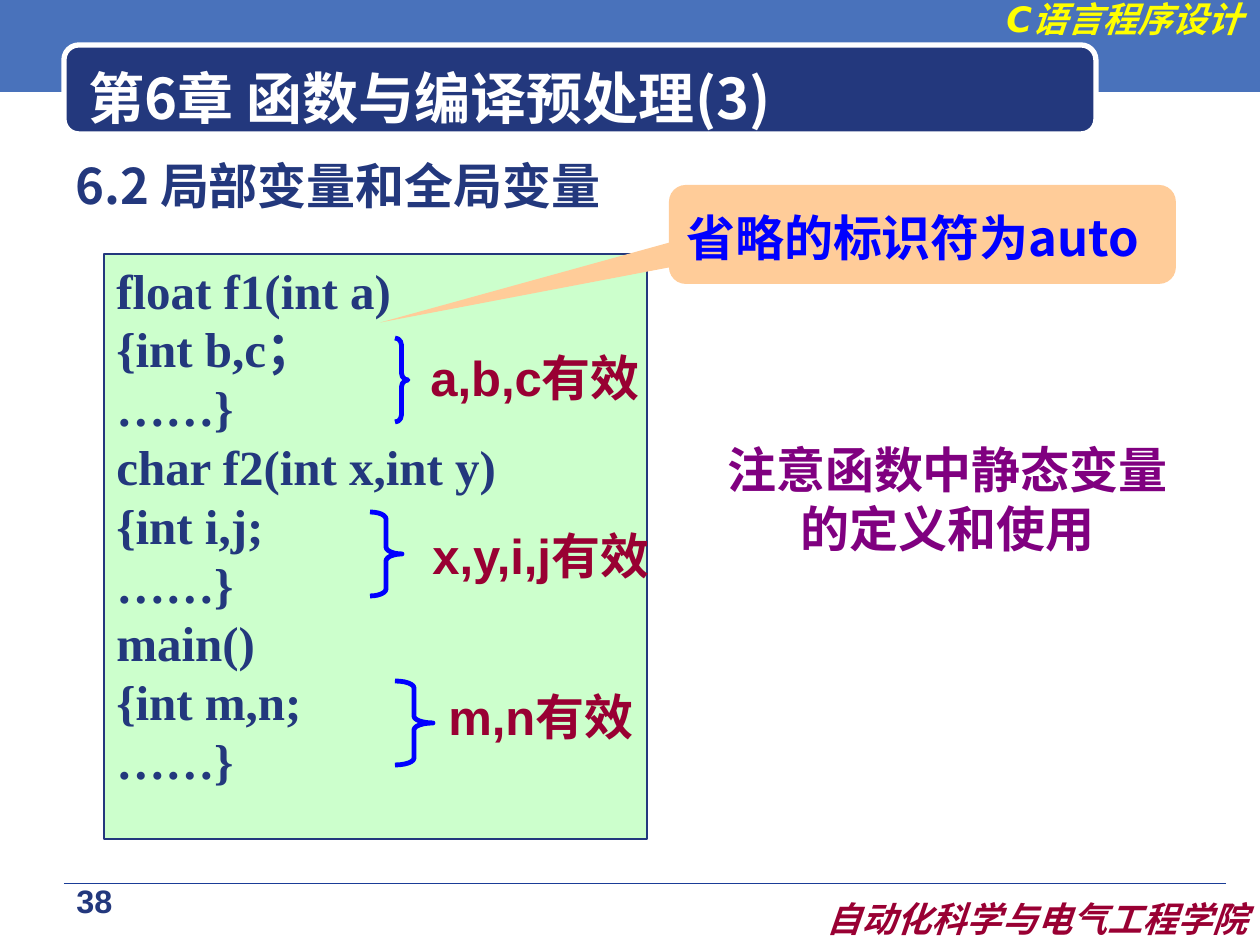
from lxml import etree
from pptx import Presentation
from pptx.dml.color import RGBColor
from pptx.enum.shapes import MSO_CONNECTOR, MSO_SHAPE
from pptx.enum.text import MSO_ANCHOR, PP_ALIGN
from pptx.oxml.ns import qn
from pptx.util import Emu, Pt

EMU_PER_PX = 914400 / 126
NAVY = RGBColor(0x23, 0x38, 0x7D)
HEADER_BLUE = RGBColor(0x49, 0x72, 0xBB)
RULE_BLUE = RGBColor(0x1A, 0x3D, 0x97)
BLUE = RGBColor(0x00, 0x00, 0xFF)
WHITE = RGBColor(0xFF, 0xFF, 0xFF)
YELLOW = RGBColor(0xFF, 0xFF, 0x00)
CRIMSON = RGBColor(0x99, 0x00, 0x33)
PURPLE = RGBColor(0x80, 0x00, 0x80)
MINT = RGBColor(0xCC, 0xFF, 0xCC)
PEACH = RGBColor(0xFF, 0xCC, 0x99)
HAN, SANS, SERIF, HEADER_FONT = "Noto Sans CJK SC", "Arial", "Times New Roman", "DejaVu Sans"
RECTANGLE, ROUNDED = MSO_SHAPE.RECTANGLE, MSO_SHAPE.ROUNDED_RECTANGLE
RECT_CALLOUT = MSO_SHAPE.RECTANGULAR_CALLOUT
ROUND_CALLOUT = MSO_SHAPE.ROUNDED_RECTANGULAR_CALLOUT
BRACE = MSO_SHAPE.RIGHT_BRACE
STRAIGHT = MSO_CONNECTOR.STRAIGHT
LEFT, CENTER, RIGHT = PP_ALIGN.LEFT, PP_ALIGN.CENTER, PP_ALIGN.RIGHT
TOP, MIDDLE = MSO_ANCHOR.TOP, MSO_ANCHOR.MIDDLE


def px(*lengths):
    return [Emu(round(length * EMU_PER_PX)) for length in lengths]


class SlideBuilder:
    def __init__(self, slide):
        self.slide = slide
        self.shapes = slide.shapes

    def style_font(self, font, name, size, color, italic=False):
        font.name, font.size, font.bold, font.italic = name, Pt(size), True, italic
        font.color.rgb = color
        etree.SubElement(font._element, qn("a:ea"), typeface=HAN)

    def fill_text(self, shape, lines, name, size, color, align=LEFT, anchor=TOP,
                  wrap=True, spacing=None, italic=False):
        frame = shape.text_frame
        frame.word_wrap, frame.vertical_anchor = wrap, anchor
        frame.text = "\n".join(lines)
        for paragraph in frame.paragraphs:
            paragraph.alignment = align
            paragraph.line_spacing = spacing
            self.style_font(paragraph.font, name, size, color, italic)

    def title(self, box, text):
        shape = self.shapes.title
        shape.left, shape.top, shape.width, shape.height = px(*box)
        shape.element.getparent().append(shape.element)
        self.fill_text(shape, [text], HAN, 32, WHITE, anchor=MIDDLE)

    def text(self, box, lines, name, size, color, **options):
        shape = self.shapes.add_textbox(*px(*box))
        self.fill_text(shape, lines, name, size, color, **options)

    def scope_label(self, box, names):
        frame = self.shapes.add_textbox(*px(*box)).text_frame
        frame.word_wrap = False
        paragraph = frame.paragraphs[0]
        for text, font_name in ((names, SANS), ("有效", HAN)):
            run = paragraph.add_run()
            run.text = text
            self.style_font(run.font, font_name, 28, CRIMSON)

    def shape(self, kind, box, fill=None, line=None, line_width=1, adjustments=()):
        shape = self.shapes.add_shape(kind, *px(*box))
        shape.shadow.inherit = False
        if fill is None:
            shape.fill.background()
        else:
            shape.fill.solid()
            shape.fill.fore_color.rgb = fill
        if line is None:
            shape.line.fill.background()
        else:
            shape.line.color.rgb = line
            shape.line.width = Pt(line_width)
        for index, value in enumerate(adjustments):
            shape.adjustments[index] = value
        return shape

    def brace(self, left, top, width, height=84):
        curl = round(height / width / 12, 2)
        self.shape(BRACE, (left, top, width, height), line=BLUE, line_width=2.75,
                   adjustments=(curl, 0.5))

    def rule(self, left, right, y):
        connector = self.shapes.add_connector(STRAIGHT, *px(left, y, right, y))
        connector.line.color.rgb = RULE_BLUE
        connector.line.width = Pt(0.5)
        etree.SubElement(connector.element.spPr, qn("a:effectLst"))


def main():
    presentation = Presentation()
    presentation.slide_width, presentation.slide_height = px(1260, 945)
    builder = SlideBuilder(presentation.slides.add_slide(presentation.slide_layouts[5]))

    builder.shape(RECTANGLE, (0, -4, 1260, 96), HEADER_BLUE)
    builder.rule(64, 1226, 883)
    builder.shape(ROUNDED, (64, 45, 1032, 89), NAVY, WHITE, 3)
    builder.text((937, -9, 318, 55), ["C语言程序设计"], HEADER_FONT, 20, YELLOW,
                 align=RIGHT, italic=True)
    builder.text((751, 891, 509, 55), ["自动化科学与电气工程学院"], HEADER_FONT, 20, CRIMSON,
                 align=RIGHT, italic=True)
    builder.text((25, 879, 139, 54), ["38"], SANS, 18.5, NAVY, align=CENTER, spacing=0.9)
    builder.title((76, 58, 987, 78), "第6章 函数与编译预处理(3)")
    builder.text((63, 149, 1134, 72), ["6.2 局部变量和全局变量"], HAN, 28, NAVY)

    code = builder.shape(RECT_CALLOUT, (104, 254, 543, 585), MINT, NAVY, 0.75, (-0.5, -0.13))
    builder.fill_text(code, ["float f1(int a)", "{int b,c；", "……}",
                             "char f2(int x,int y)", "{int i,j;", "……}",
                             "main()", "{int m,n;", "……}"],
                      SERIF, 28, NAVY, spacing=Pt(33.6))

    scopes = (
        ("a,b,c", (395, 338, 13), (418, 341, 246, 72)),
        ("x,y,i,j", (370, 512, 32), (420, 519, 257, 72)),
        ("m,n", (395, 681, 38), (436, 680, 222, 72)),
    )
    for names, brace_place, label_box in scopes:
        builder.brace(*brace_place)
        builder.scope_label(label_box, names)

    callout = builder.shape(ROUND_CALLOUT, (669, 185, 507, 99), PEACH,
                            adjustments=(-1.07, 0.89, 0.17))
    builder.fill_text(callout, ["省略的标识符为auto"], HAN, 28, BLUE, spacing=1.2)
    builder.text((689, 433, 517, 185), ["注意函数中静态变量", "的定义和使用"], HAN, 28, PURPLE,
                 align=CENTER, wrap=False)

    presentation.save("out.pptx")


if __name__ == "__main__":
    main()
